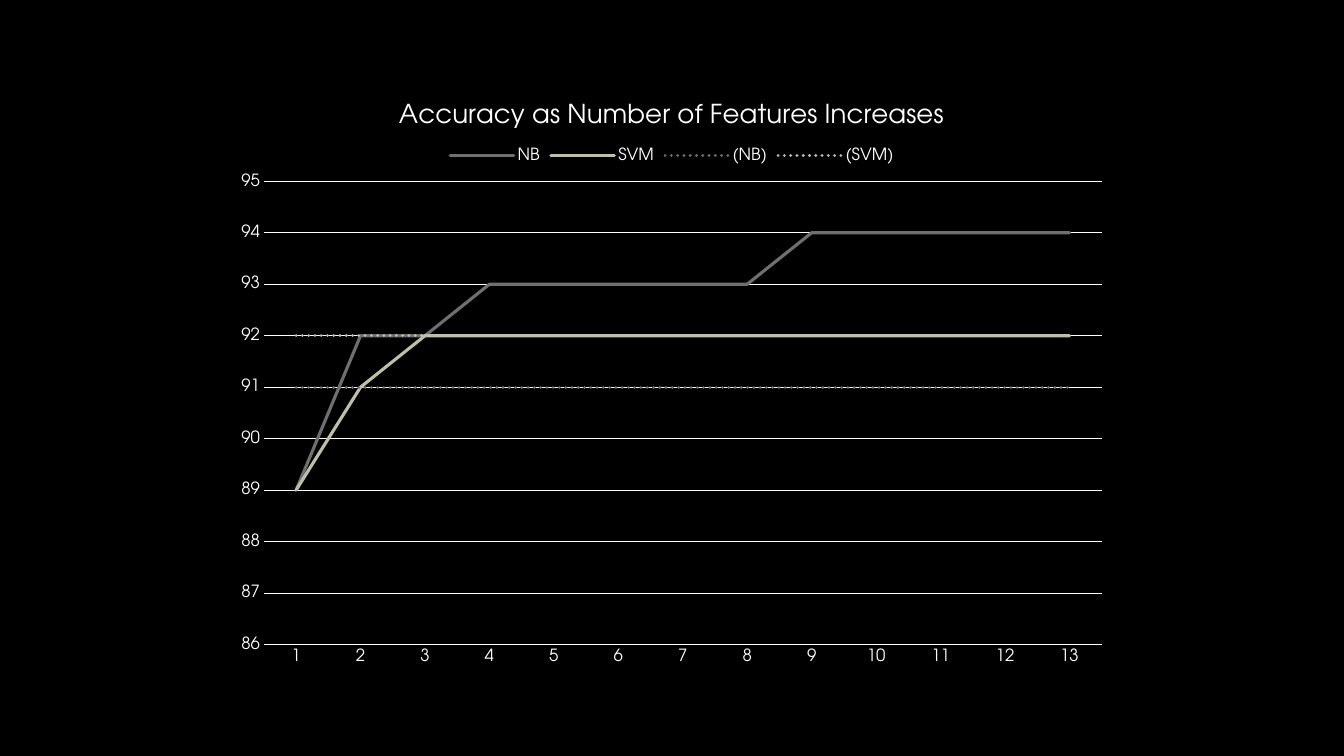
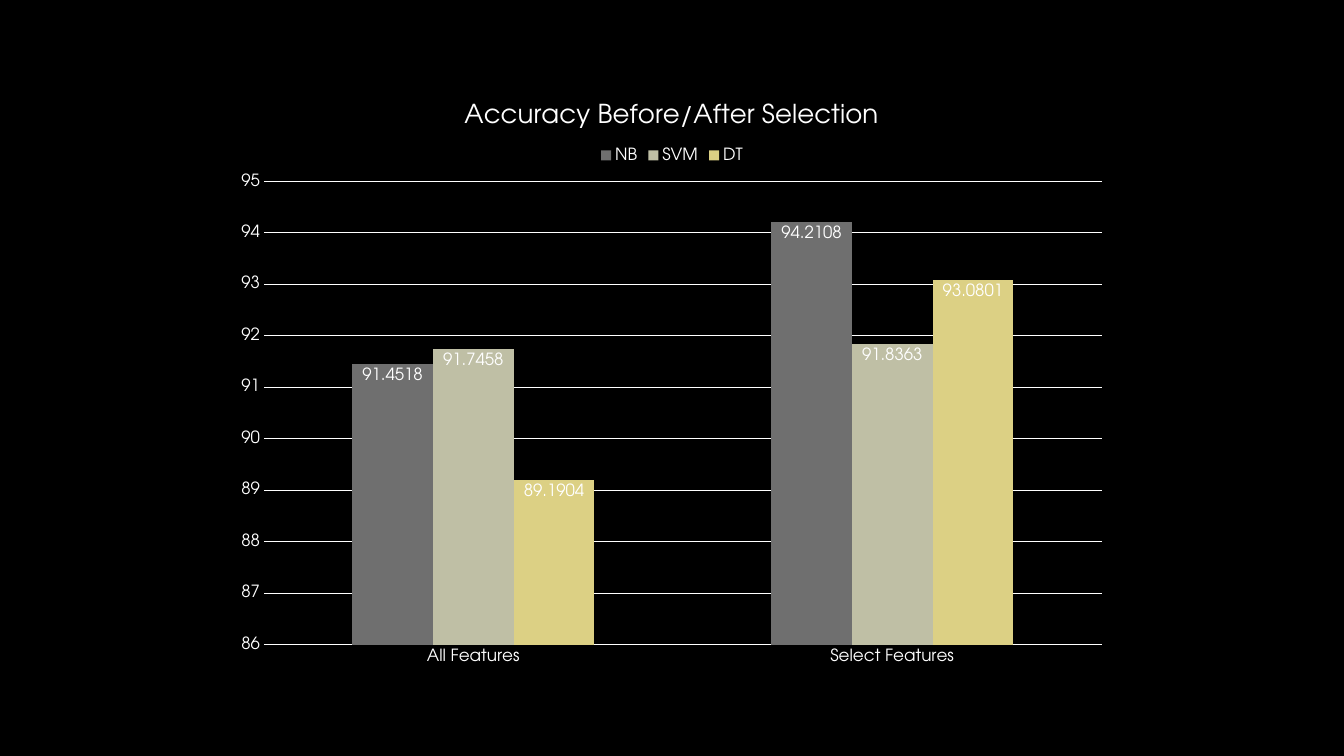
from dataclasses import dataclass

import pptx
import pptx.chart.data
import pptx.dml.color
import pptx.enum.chart
import pptx.enum.dml
import pptx.oxml
import pptx.oxml.ns
import pptx.util

PX = 6350
FRAME = (320, 113, 1280, 853)
PLOT = (377, 259, 1197, 662)


@dataclass(frozen=True)
class Theme:
    font: str = "TeX Gyre Adventor"
    background: str = "000000"
    text: str = "FFFFFF"
    bayes: str = "6F6F6F"
    vectors: str = "BFBFA5"
    tree: str = "DCD084"
    base_size: float = 10
    label_size: float = 12
    title_size: float = 18.6
    rule_width: float = 0.75
    curve_width: float = 2.25


@dataclass(frozen=True)
class Series:
    name: str
    values: list
    color: str
    dotted: bool = False


THEME = Theme()


def px(length):
    return pptx.util.Emu(length * PX)


def rgb(color):
    return pptx.dml.color.RGBColor.from_string(color)


def fill_solid(fill, color):
    fill.solid()
    fill.fore_color.rgb = rgb(color)


def style_font(font, size):
    font.name = THEME.font
    font.size = pptx.util.Pt(size)
    font.bold = False
    font.color.rgb = rgb(THEME.text)


def style_line(line, color, width):
    fill_solid(line.fill, color)
    line.width = pptx.util.Pt(width)


def style_axis(axis):
    axis.major_tick_mark = pptx.enum.chart.XL_TICK_MARK.NONE
    axis.minor_tick_mark = pptx.enum.chart.XL_TICK_MARK.NONE
    style_font(axis.tick_labels.font, THEME.label_size)


def style_accuracy_axis(axis):
    style_axis(axis)
    axis.minimum_scale = 86
    axis.maximum_scale = 95
    axis.major_unit = 1
    axis.format.line.fill.background()
    axis.has_major_gridlines = True
    style_line(axis.major_gridlines.format.line, THEME.text, THEME.rule_width)


def place_plot(chart):
    left, top, width, height = FRAME
    plot_left, plot_top, plot_width, plot_height = PLOT
    shares = {
        "x": (plot_left - left) / width,
        "y": (plot_top - top) / height,
        "w": plot_width / width,
        "h": plot_height / height,
    }
    modes = "".join(f'<c:{side}Mode val="edge"/>' for side in "xy")
    sizes = "".join(f'<c:{side} val="{share:.4f}"/>' for side, share in shares.items())
    layout = pptx.oxml.parse_xml(
        f'<c:layout {pptx.oxml.ns.nsdecls("c")}><c:manualLayout>'
        f'<c:layoutTarget val="inner"/>{modes}{sizes}'
        '</c:manualLayout></c:layout>'
    )
    plot_area = chart.plots[0]._element.getparent()
    for automatic in plot_area.findall(pptx.oxml.ns.qn("c:layout")):
        plot_area.remove(automatic)
    plot_area.insert(0, layout)


def add_accuracy_chart(deck, chart_type, title, categories, series_list):
    data = pptx.chart.data.CategoryChartData()
    data.categories = categories
    for series in series_list:
        data.add_series(series.name, series.values)
    slide = deck.slides.add_slide(deck.slide_layouts[6])
    chart = slide.shapes.add_chart(chart_type, *map(px, FRAME), data).chart
    style_font(chart.font, THEME.base_size)

    chart.has_title = True
    heading = chart.chart_title.text_frame.paragraphs[0]
    style_font(heading.font, THEME.title_size)
    wording = heading.add_run()
    wording.text = title
    style_font(wording.font, THEME.title_size)

    chart.has_legend = True
    chart.legend.position = pptx.enum.chart.XL_LEGEND_POSITION.TOP
    chart.legend.include_in_layout = False
    style_font(chart.legend.font, THEME.label_size)

    style_axis(chart.category_axis)
    style_line(chart.category_axis.format.line, THEME.text, THEME.rule_width)
    style_accuracy_axis(chart.value_axis)
    chart.plots[0].vary_by_categories = False
    place_plot(chart)
    return chart


def style_curves(chart, series_list):
    for curve, series in zip(chart.plots[0].series, series_list):
        curve.smooth = False
        curve.marker.style = pptx.enum.chart.XL_MARKER_STYLE.NONE
        style_line(curve.format.line, series.color, THEME.curve_width)
        if series.dotted:
            curve.format.line.dash_style = pptx.enum.dml.MSO_LINE.ROUND_DOT
        stroke = curve._element.find(".//" + pptx.oxml.ns.qn("a:ln"))
        stroke.set("cap", "rnd")
        stroke.append(pptx.oxml.parse_xml(f'<a:round {pptx.oxml.ns.nsdecls("a")}/>'))


def style_columns(chart, series_list):
    chart.plots[0].gap_width = 219
    chart.plots[0].overlap = 0
    for column, series in zip(chart.plots[0].series, series_list):
        column.invert_if_negative = False
        fill_solid(column.format.fill, series.color)
        labels = column.data_labels
        labels.show_value = True
        labels.position = pptx.enum.chart.XL_LABEL_POSITION.INSIDE_END
        style_font(labels.font, THEME.label_size)


def add_feature_count_slide(deck):
    counts = [str(count) for count in range(1, 14)]
    series_list = [
        Series("NB", [89] + [92] * 2 + [93] * 5 + [94] * 5, THEME.bayes),
        Series("SVM", [89, 91] + [92] * 11, THEME.vectors),
        Series("(NB)", [91] * len(counts), THEME.bayes, dotted=True),
        Series("(SVM)", [92] * len(counts), THEME.vectors, dotted=True),
    ]
    chart = add_accuracy_chart(
        deck, pptx.enum.chart.XL_CHART_TYPE.LINE,
        "Accuracy as Number of Features Increases", counts, series_list,
    )
    style_curves(chart, series_list)


def add_selection_slide(deck):
    series_list = [
        Series("NB", [91.4518, 94.2108], THEME.bayes),
        Series("SVM", [91.7458, 91.8363], THEME.vectors),
        Series("DT", [89.1904, 93.0801], THEME.tree),
    ]
    chart = add_accuracy_chart(
        deck, pptx.enum.chart.XL_CHART_TYPE.COLUMN_CLUSTERED,
        "Accuracy Before/After Selection",
        ["All Features", "Select Features"], series_list,
    )
    style_columns(chart, series_list)


def main():
    deck = pptx.Presentation()
    deck.slide_width = px(1920)
    deck.slide_height = px(1080)
    fill_solid(deck.slide_master.background.fill, THEME.background)
    add_feature_count_slide(deck)
    add_selection_slide(deck)
    deck.save("out.pptx")


if __name__ == "__main__":
    main()
